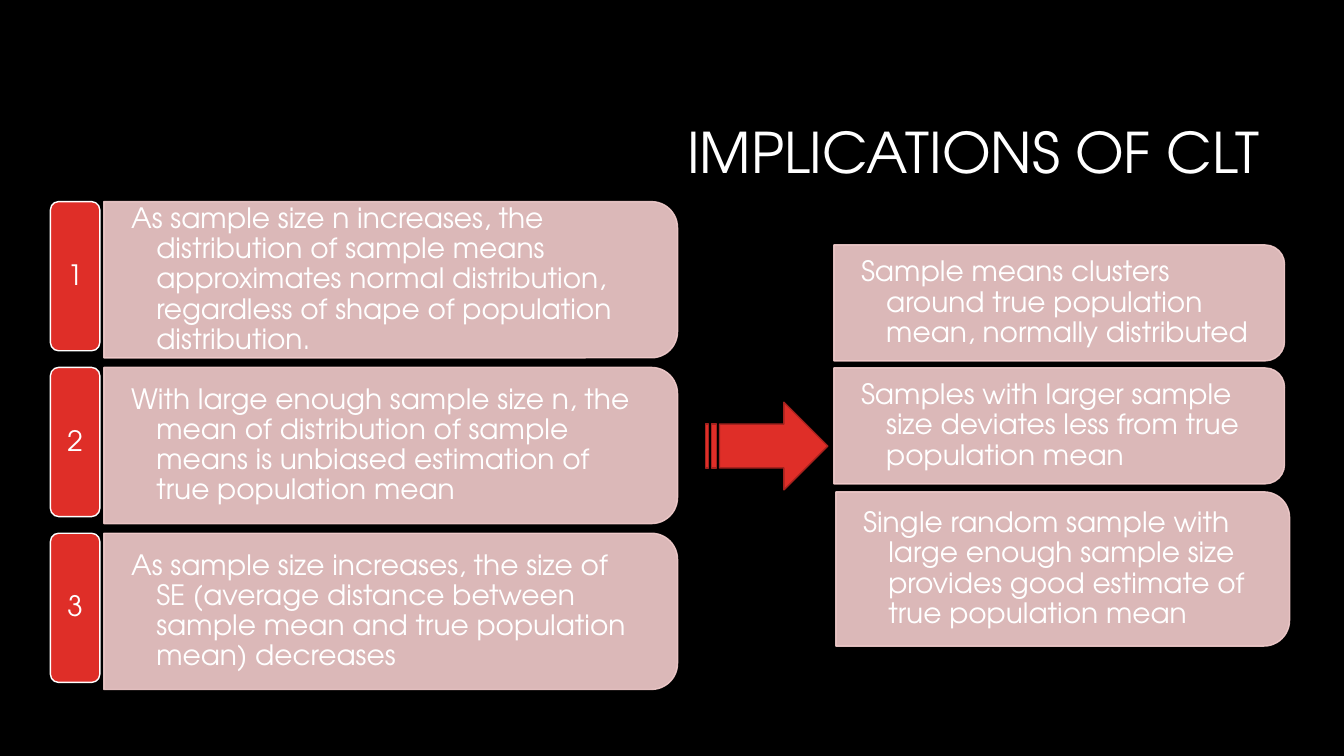
"""Builds the slide on implications of the central limit theorem."""
from lxml import etree
from pptx import Presentation
from pptx.dml.color import RGBColor
from pptx.enum.shapes import MSO_SHAPE
from pptx.enum.text import MSO_ANCHOR, PP_ALIGN
from pptx.oxml.ns import qn
from pptx.util import Inches, Pt

ROUND_RECT = MSO_SHAPE.ROUNDED_RECTANGLE
PANEL = MSO_SHAPE.ROUND_2_SAME_RECTANGLE
ARROW = MSO_SHAPE.STRIPED_RIGHT_ARROW
LEFT, CENTER, RIGHT = PP_ALIGN.LEFT, PP_ALIGN.CENTER, PP_ALIGN.RIGHT
MIDDLE = MSO_ANCHOR.MIDDLE

SLIDE_W, SLIDE_H = 13.33, 7.5
FONT = "TeX Gyre Adventor"
COLORS = {"background": "000000", "text": "FFFFFF", "panel": "F3CDCD",
          "accent": "DF2E28", "accent_edge": "A5221E"}

TITLE = "IMPLICATIONS OF CLT"
PREMISES = [
    "As sample size n increases, the distribution of sample means approximates "
    "normal distribution, regardless of shape of population distribution.",
    "With large enough sample size n, the mean of distribution of sample means "
    "is unbiased estimation of true population mean",
    "As sample size increases, the size of SE (average distance between sample "
    "mean and true population mean) decreases",
]
RESULTS = [
    ("Sample means clusters around true population mean, normally distributed",
     (8.27, 2.43, 4.47, 1.15)),
    ("Samples with larger sample size deviates less from true population mean",
     (8.27, 3.65, 4.47, 1.15)),
    ("Single random sample with large enough sample size provides good estimate "
     "of true population mean", (8.29, 4.88, 4.5, 1.53)),
]
TITLE_BOX = (3.17, 0.84, 9.42, 1.41)
ARROW_BOX = (7, 3.99, 1.21, 0.87)
ROWS_TOP, ROW_PITCH = 2, 1.645
BADGE_LEFT, BADGE_W, BADGE_H = 0.5, 0.49, 1.48
PREMISE_LEFT, PREMISE_W, PREMISE_H = 1.03, 5.69, 1.55
TEXT_W_SHARE, TEXT_H_SHARE = 0.987, 0.9


def rgb(name):
    return RGBColor.from_string(COLORS[name])


def write(sp, text, size=20, align=LEFT, inset=(0.1, 0.05), hanging=0):
    tf = sp.text_frame
    tf.word_wrap = True
    tf.vertical_anchor = MIDDLE
    tf.margin_left = tf.margin_right = Inches(inset[0])
    tf.margin_top = tf.margin_bottom = Inches(inset[1])
    p = tf.paragraphs[0]
    p.alignment = align
    p.line_spacing = 0.9
    if hanging:
        ppr = p._p.get_or_add_pPr()
        ppr.set("marL", str(Inches(hanging)))
        ppr.set("indent", str(-Inches(hanging)))
    r = p.add_run()
    r.text = text
    r.font.name = FONT
    r.font.size = Pt(size)
    r.font.color.rgb = rgb("text")


def add_text(s, box, text, **fmt):
    write(s.shapes.add_textbox(*map(Inches, box)), text, **fmt)


def add_shape(s, kind, box, fill, line):
    sp = s.shapes.add_shape(kind, *map(Inches, box))
    sp.shadow.inherit = False
    sp.fill.solid()
    sp.fill.fore_color.rgb = rgb(fill)
    sp.line.color.rgb = rgb(line)
    sp.line.width = Pt(1)
    return sp


def add_panel(s, box, text):
    x, y, w, h = box
    upright = (x + (w - h) / 2, y + (h - w) / 2, h, w)
    sp = add_shape(s, PANEL, upright, "panel", "panel")
    sp.rotation = 90
    for color in sp._element.spPr.iter(qn("a:srgbClr")):
        etree.SubElement(color, qn("a:alpha")).set("val", "90000")
    text_h = h * TEXT_H_SHARE
    add_text(s, (x, y + (h - text_h) / 2, w * TEXT_W_SHARE, text_h), text,
             inset=(0.27, 0.14), hanging=0.25)


def main():
    prs = Presentation()
    prs.slide_width, prs.slide_height = Inches(SLIDE_W), Inches(SLIDE_H)
    s = prs.slides.add_slide(prs.slide_layouts[6])
    s.background.fill.solid()
    s.background.fill.fore_color.rgb = rgb("background")
    add_text(s, TITLE_BOX, TITLE, size=40, align=RIGHT)
    for i, text in enumerate(PREMISES):
        top = ROWS_TOP + i * ROW_PITCH
        add_panel(s, (PREMISE_LEFT, top, PREMISE_W, PREMISE_H), text)
        badge = add_shape(s, ROUND_RECT, (BADGE_LEFT, top, BADGE_W, BADGE_H),
                          "accent", "text")
        write(badge, str(i + 1), align=CENTER, inset=(0.08, 0.04))
    for text, box in RESULTS:
        add_panel(s, box, text)
    add_shape(s, ARROW, ARROW_BOX, "accent", "accent_edge")
    prs.save("out.pptx")


if __name__ == "__main__":
    main()
